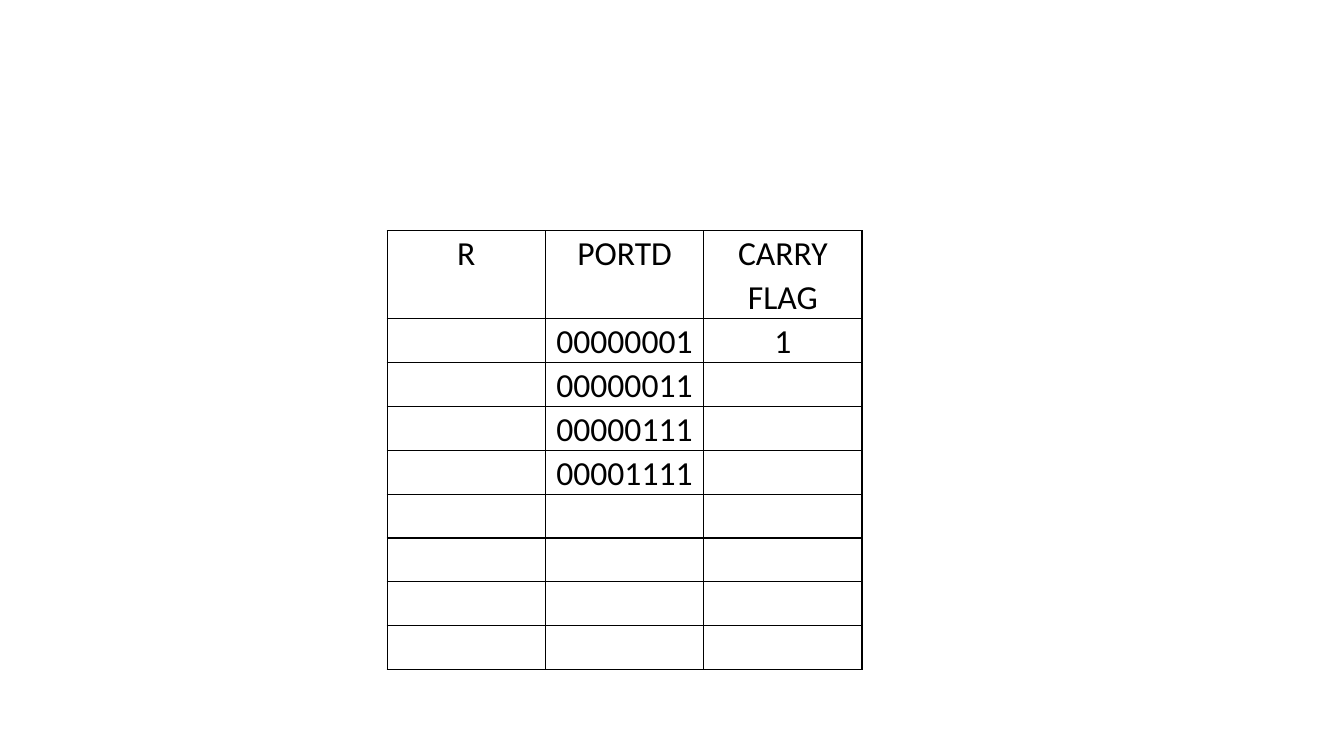
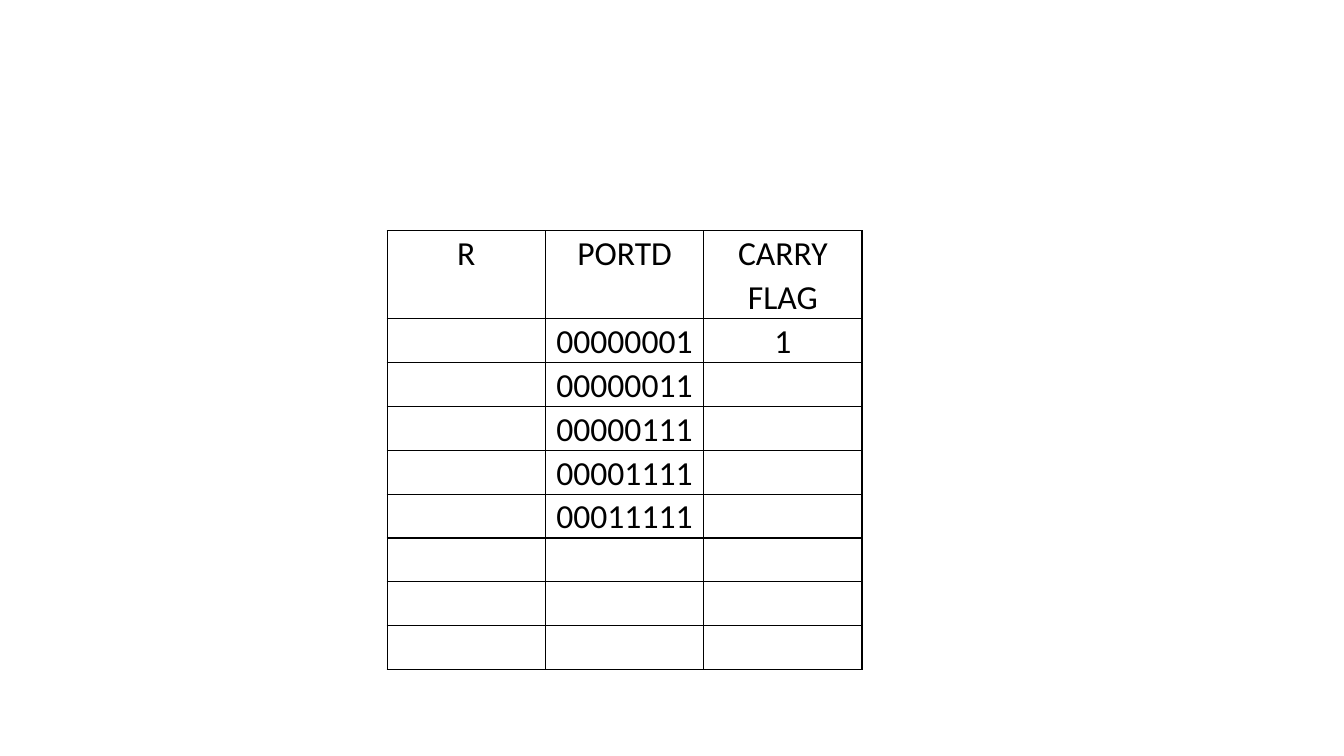
import pptx
import pptx.dml.color
import pptx.enum.text
import pptx.oxml
import pptx.oxml.ns
import pptx.util

Inches, Pt = pptx.util.Inches, pptx.util.Pt
COLORS = {"text": "000000", "border": "000000"}
FONT = "Calibri"
HEADERS = ["R", "PORTD", "CARRY FLAG"]
STEPS = 8
COL_W, HEADER_H, ROW_H = 1.57, 0.87, 0.435


def write_text(tf, text, size=24, color="text", align=pptx.enum.text.PP_ALIGN.CENTER):
    p = tf.paragraphs[0]
    p.alignment = align
    p.line_spacing = 1.07
    p.space_after = Pt(8)
    r = p.add_run()
    r.text = text
    r.font.name = FONT
    r.font.size = Pt(size)
    r.font.color.rgb = pptx.dml.color.RGBColor.from_string(COLORS[color])


def set_borders(cell, width=1):
    tc_pr = cell._tc.get_or_add_tcPr()
    for side in ("lnL", "lnR", "lnT", "lnB"):
        tc_pr.append(pptx.oxml.parse_xml(
            f'<a:{side} {pptx.oxml.ns.nsdecls("a")} w="{Pt(width)}"><a:solidFill>'
            f'<a:srgbClr val="{COLORS["border"]}"/></a:solidFill></a:{side}>'))


def add_grid(s, rows, left, top):
    height = HEADER_H + ROW_H * (len(rows) - 1)
    table = s.shapes.add_table(len(rows), len(HEADERS), Inches(left), Inches(top),
                               Inches(COL_W * len(HEADERS)), Inches(height)).table
    table.first_row = table.horz_banding = False
    for col in table.columns:
        col.width = Inches(COL_W)
    for i, values in enumerate(rows):
        table.rows[i].height = Inches(ROW_H if i else HEADER_H)
        for j, value in enumerate(values):
            cell = table.cell(i, j)
            cell.margin_left = cell.margin_right = Inches(0.07)
            cell.margin_top = cell.margin_bottom = 0
            set_borders(cell)
            cell.fill.background()
            if value:
                write_text(cell.text_frame, value)


def shift_rows(filled):
    """Rows of the rotate table with the first `filled` PORTD values known."""
    rows = [HEADERS]
    for step in range(1, STEPS + 1):
        port = f"{2 ** step - 1:08b}" if step <= filled else ""
        rows.append(["", port, "1" if step == 1 else ""])
    return rows


def main():
    prs = pptx.Presentation()
    prs.slide_width, prs.slide_height = Inches(13.33), Inches(7.5)
    for filled in (4, 5):
        s = prs.slides.add_slide(prs.slide_layouts[6])
        add_grid(s, shift_rows(filled), left=3.84, top=2.29)
    prs.save("out.pptx")


if __name__ == "__main__":
    main()
